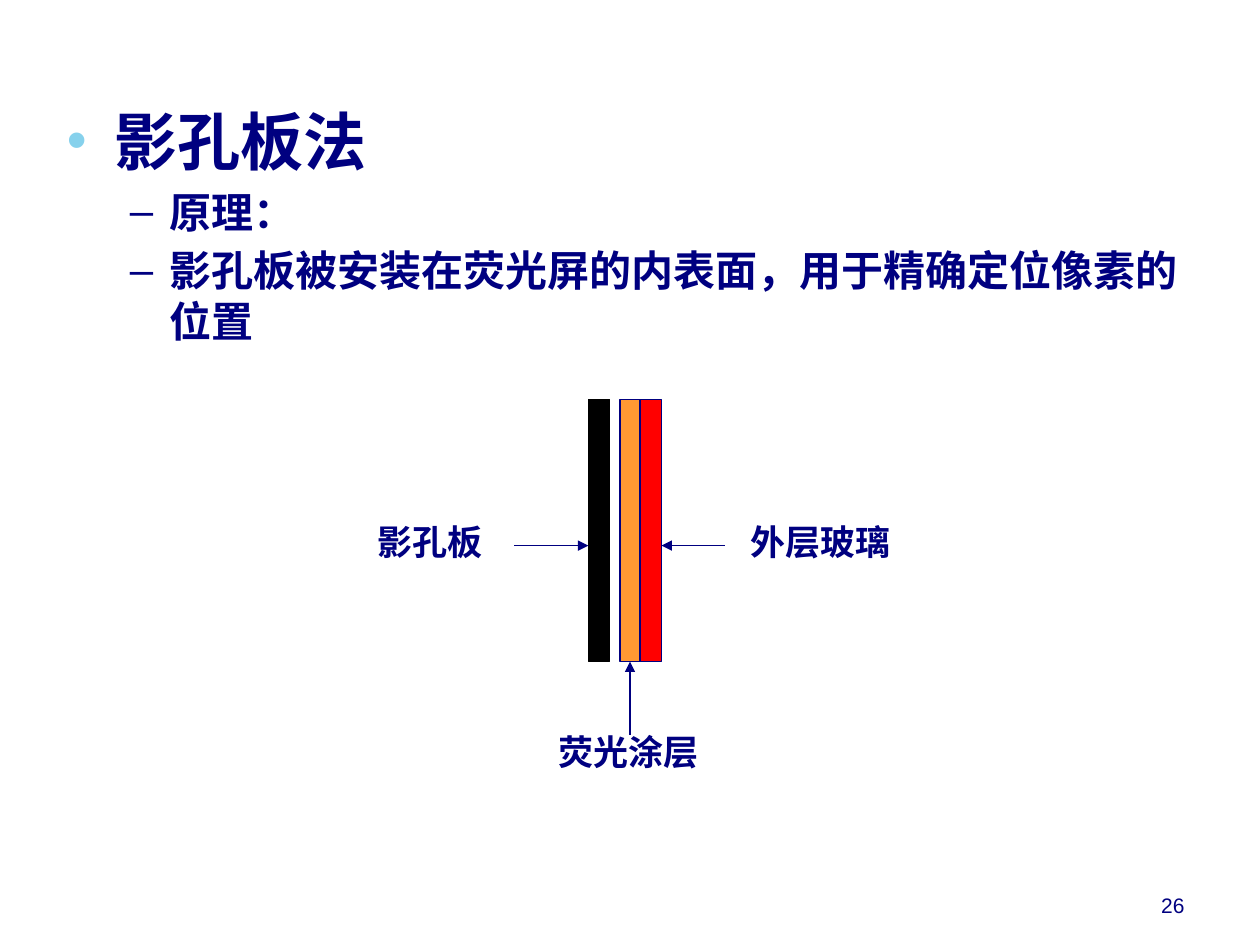
import pptx
import pptx.dml.color
import pptx.enum.shapes
import pptx.enum.text
import pptx.oxml
import pptx.oxml.ns
import pptx.util
from pptx.util import Inches

RGBColor = pptx.dml.color.RGBColor
PP_ALIGN = pptx.enum.text.PP_ALIGN
MSO_ANCHOR = pptx.enum.text.MSO_ANCHOR
MSO_AUTO_SIZE = pptx.enum.text.MSO_AUTO_SIZE

NAVY = RGBColor(0x00, 0x00, 0x80)
BLACK = RGBColor(0x00, 0x00, 0x00)
ORANGE = RGBColor(0xFF, 0x99, 0x33)
RED = RGBColor(0xFF, 0x00, 0x00)
BULLET_BLUE = RGBColor(0x86, 0xD1, 0xEC)

LAYER_TOP, LAYER_W, LAYER_H = 3.17, 0.17, 2.08


def add_run(p, text, size, font, bold=True):
    r = p.add_run()
    r.text = text
    r.font.size = pptx.util.Pt(size)
    r.font.name = font
    r.font.bold = bold
    r.font.color.rgb = NAVY


def sub_element(parent, tag, **attrs):
    el = pptx.oxml.parse_xml(f"<{tag} {pptx.oxml.ns.nsdecls('a')}/>")
    for name, value in attrs.items():
        el.set(name, value)
    parent.append(el)
    return el


def fill_body(body, items):
    """Write (level, text, size) items; bullets and indents come from the template."""
    body.left, body.top = Inches(0.43), Inches(0.76)
    body.width, body.height = Inches(9.21), Inches(5.39)
    tf = body.text_frame
    tf.auto_size = MSO_AUTO_SIZE.NONE
    for i, (level, text, size) in enumerate(items):
        p = tf.add_paragraph() if i else tf.paragraphs[0]
        p.level = level
        add_run(p, text, size, "Arial")
    pPr = tf.paragraphs[0]._p.get_or_add_pPr()
    sub_element(sub_element(pPr, "a:buClr"), "a:srgbClr", val=str(BULLET_BLUE))
    sub_element(pPr, "a:buSzPct", val="90000")


def add_layer(shapes, left, fill, line):
    sp = shapes.add_shape(
        pptx.enum.shapes.MSO_SHAPE.RECTANGLE,
        Inches(left), Inches(LAYER_TOP), Inches(LAYER_W), Inches(LAYER_H))
    sp.shadow.inherit = False
    sp.fill.solid()
    sp.fill.fore_color.rgb = fill
    sp.line.color.rgb = line
    sp.line.width = pptx.util.Pt(0.75)


def add_arrow(shapes, x1, y1, x2, y2):
    cxn = shapes.add_connector(
        pptx.enum.shapes.MSO_CONNECTOR.STRAIGHT,
        Inches(x1), Inches(y1), Inches(x2), Inches(y2))
    cxn.line.color.rgb = NAVY
    cxn.line.width = pptx.util.Pt(0.75)
    sub_element(cxn.line._get_or_add_ln(), "a:tailEnd", type="triangle")
    sub_element(cxn._element.spPr, "a:effectLst")


def add_label(shapes, left, top, width, text):
    tb = shapes.add_textbox(Inches(left), Inches(top), Inches(width), Inches(0.43))
    tf = tb.text_frame
    tf.word_wrap = False
    tf.auto_size = MSO_AUTO_SIZE.SHAPE_TO_FIT_TEXT
    p = tf.paragraphs[0]
    p.alignment = PP_ALIGN.CENTER
    add_run(p, text, 20, "Times New Roman")


def add_page_number(shapes, number):
    tb = shapes.add_textbox(Inches(7.17), Inches(6.83), Inches(2.33), Inches(0.5))
    tf = tb.text_frame
    tf.word_wrap = True
    tf.vertical_anchor = MSO_ANCHOR.BOTTOM
    p = tf.paragraphs[0]
    p.alignment = PP_ALIGN.RIGHT
    add_run(p, number, 12, "Arial", bold=False)


def add_screen_diagram(shapes):
    for left, fill, line in [
        (4.67, BLACK, BLACK),
        (4.92, ORANGE, NAVY),
        (5.08, RED, NAVY),
    ]:
        add_layer(shapes, left, fill, line)
    for ends in [(5.75, 4.33, 5.25, 4.33), (5, 5.83, 5, 5.25), (4.08, 4.33, 4.67, 4.33)]:
        add_arrow(shapes, *ends)
    for left, top, width, text in [
        (5.85, 4.08, 1.32, "外层玻璃"),
        (4.33, 5.75, 1.32, "荧光涂层"),
        (2.89, 4.08, 1.04, "影孔板"),
    ]:
        add_label(shapes, left, top, width, text)


def main():
    prs = pptx.Presentation()
    prs.slide_width, prs.slide_height = Inches(10), Inches(7.5)
    s = prs.slides.add_slide(prs.slide_layouts[1])
    title = s.shapes.title._element
    title.getparent().remove(title)
    fill_body(s.placeholders[1], [
        (0, "影孔板法", 36),
        (1, "原理：", 24),
        (1, "影孔板被安装在荧光屏的内表面，用于精确定位像素的位置", 24),
    ])
    add_screen_diagram(s.shapes.add_group_shape().shapes)
    add_page_number(s.shapes, "26")
    prs.save("out.pptx")


if __name__ == "__main__":
    main()
